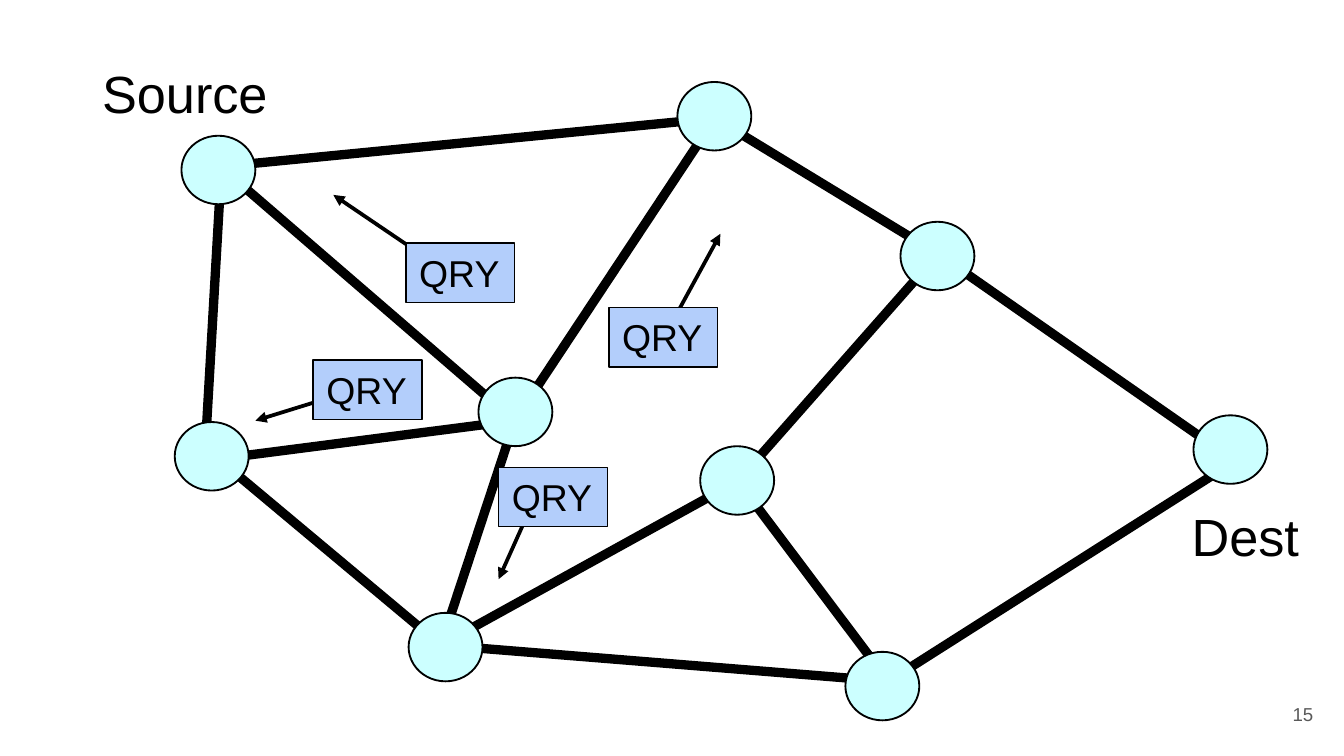
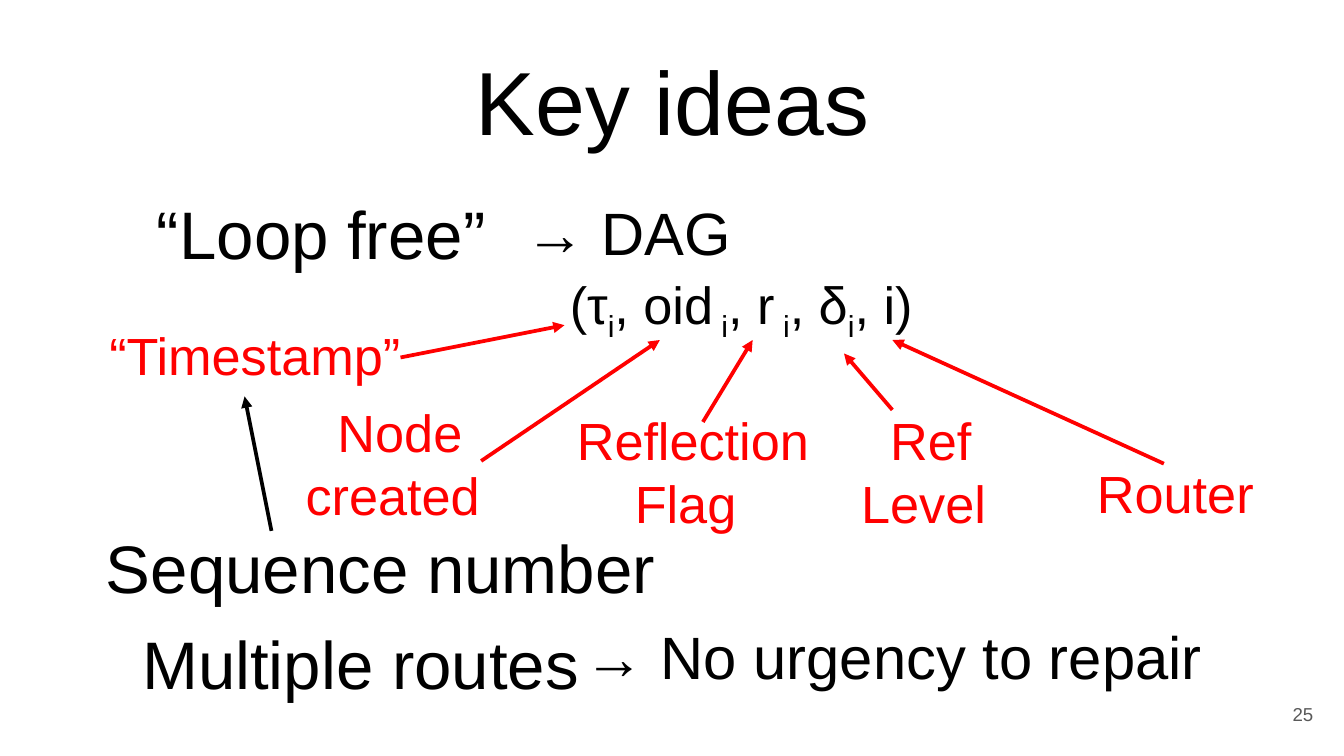
import pptx
import pptx.dml.color
import pptx.enum.shapes
import pptx.enum.text
import pptx.oxml
import pptx.oxml.ns
import pptx.util
from pptx.util import Inches

COLORS = {
    "ink": "000000",
    "accent": "FF0000",
    "node": "CCFFFF",
    "packet": "B3CEFB",
    "number": "595959",
}
ALIGN = pptx.enum.text.PP_ALIGN
ANCHOR = pptx.enum.text.MSO_ANCHOR
SHAPE = pptx.enum.shapes.MSO_SHAPE
TITLE_ONLY, BLANK = 5, 6


def color(name):
    return pptx.dml.color.RGBColor.from_string(COLORS[name])


def set_values(target, values):
    for name, value in values.items():
        setattr(target, name, value)


class Deck:
    """Holds the shared style and the slide being built."""

    font = "Arial"
    node_size = (0.55, 0.51)
    packet_size = (0.81, 0.44)

    def __init__(self):
        self.presentation = pptx.Presentation()
        set_values(self.presentation,
                   {"slide_width": Inches(10), "slide_height": Inches(5.625)})
        self.slide = None

    def new_slide(self, layout, number):
        self.slide = self.presentation.slides.add_slide(
            self.presentation.slide_layouts[layout])
        self.text(number, (9.27, 5.1, 0.6, 0.43), 10, "number", ALIGN.RIGHT,
                  vertical_anchor=ANCHOR.MIDDLE)

    def fill_text(self, shape, paragraphs, size, ink, align, **frame_format):
        """Fill a shape; a paragraph is a string or a list of (text, is_subscript)."""
        frame = shape.text_frame
        set_values(frame, {
            "word_wrap": True,
            "auto_size": pptx.enum.text.MSO_AUTO_SIZE.NONE,
            "vertical_anchor": ANCHOR.TOP,
            "margin_left": Inches(0.1), "margin_right": Inches(0.1),
            "margin_top": Inches(0.05), "margin_bottom": Inches(0.05),
            **frame_format,
        })
        for index, content in enumerate(paragraphs):
            paragraph = frame.add_paragraph() if index else frame.paragraphs[0]
            paragraph.alignment = align
            pieces = [(content, False)] if isinstance(content, str) else content
            for words, is_subscript in pieces:
                for row, part in enumerate(words.split("\n")):
                    if row:
                        paragraph.add_line_break()
                    run = paragraph.add_run()
                    run.text = part
                    set_values(run.font, {"name": self.font, "size": pptx.util.Pt(size)})
                    run.font.color.rgb = color(ink)
                    if is_subscript:
                        run.font._element.set("baseline", "-25000")

    def title(self, words):
        title = self.slide.shapes.title
        set_values(title, {"left": Inches(0.36), "top": Inches(0.24),
                           "width": Inches(9.29), "height": Inches(1.42)})
        self.fill_text(title, [words], 48, "ink", ALIGN.CENTER,
                       margin_top=Inches(0.1), margin_bottom=Inches(0.1))

    def text(self, content, box, size, ink="ink", align=ALIGN.LEFT, **frame_format):
        shape = self.slide.shapes.add_textbox(*map(Inches, box))
        paragraphs = [content] if isinstance(content, str) else content
        self.fill_text(shape, paragraphs, size, ink, align, **frame_format)

    def line(self, start, end, width, ink="ink", arrow=False):
        connector = self.slide.shapes.add_connector(
            pptx.enum.shapes.MSO_CONNECTOR.STRAIGHT, *map(Inches, (*start, *end)))
        connector.line.width = pptx.util.Pt(width)
        connector.line.color.rgb = color(ink)
        namespace = pptx.oxml.ns.nsdecls("a")
        if arrow:
            connector.line._get_or_add_ln().append(
                pptx.oxml.parse_xml(f'<a:tailEnd {namespace} type="triangle"/>'))
        connector._element.spPr.append(
            pptx.oxml.parse_xml(f"<a:effectLst {namespace}/>"))

    def arrow(self, start, end, ink="ink"):
        self.line(start, end, 2, ink, arrow=True)

    def outlined(self, kind, position, size, fill, line_width):
        shape = self.slide.shapes.add_shape(kind, *map(Inches, (*position, *size)))
        shape.shadow.inherit = False
        shape.fill.solid()
        shape.fill.fore_color.rgb = color(fill)
        shape.line.color.rgb = color("ink")
        shape.line.width = pptx.util.Pt(line_width)
        return shape

    def node(self, position):
        self.outlined(SHAPE.OVAL, position, self.node_size, "node", 1)

    def packet(self, position):
        shape = self.outlined(SHAPE.RECTANGLE, position, self.packet_size, "packet", 0.75)
        self.fill_text(shape, ["QRY"], 20, "ink", ALIGN.LEFT, word_wrap=False)


def build_query_slide(deck):
    deck.new_slide(BLANK, "15")

    # Each node: top-left corner, and the point where its links meet
    nodes = {
        "source": ((1.35, 1.01), (1.64, 1.24)),
        "top": ((5.04, 0.61), (5.32, 0.88)),
        "right": ((6.7, 1.65), (6.98, 1.89)),
        "dest": ((8.88, 3.09), (9.19, 3.43)),
        "middle": ((3.56, 2.81), (3.83, 3.13)),
        "left": ((1.3, 3.14), (1.63, 3.42)),
        "bottom": ((3.04, 4.56), (3.28, 4.8)),
        "inner": ((5.21, 3.32), (5.49, 3.58)),
        "low": ((6.29, 4.85), (6.61, 5.07)),
    }
    # A link end is a node name, or a point where it meets the node off centre
    links = [
        ("dest", "right"), ("dest", "low"), ("top", "right"), ("middle", "top"),
        ((1.52, 3.47), (1.64, 1.38)), ("low", "bottom"), ("bottom", "left"),
        ("inner", "bottom"), ("right", "inner"), ("low", "inner"),
        ("top", "source"), ("middle", "bottom"), ("source", "middle"),
        ((1.74, 3.4), "middle"),
    ]
    # Each query packet: corner, arrow start, arrow end
    packets = [
        ((3.02, 1.81), (3.35, 2.04), (2.48, 1.45)),
        ((2.33, 2.68), (2.74, 2.87), (1.9, 3.13)),
        ((3.71, 3.48), (3.97, 3.73), (3.71, 4.31)),
        ((4.53, 2.29), (4.94, 2.51), (5.36, 1.74)),
    ]

    # Arrows and links lie behind the nodes and packets
    for _, start, end in packets:
        deck.arrow(start, end)
    for ends in links:
        start, end = (nodes[place][1] if place in nodes else place for place in ends)
        deck.line(start, end, 5)
    for corner, _ in nodes.values():
        deck.node(corner)

    # End point names
    for name, left, top in (("Source", 0.45, 0.41), ("Dest", 8.34, 3.7)):
        deck.text(name, (left, top, 1.85, 0.57), 28, align=ALIGN.CENTER)
    for corner, _, _ in packets:
        deck.packet(corner)


def build_ideas_slide(deck):
    deck.new_slide(TITLE_ONLY, "25")
    deck.title("Key ideas")

    # Ideas and what follows from them
    for words, box, size in (
        ("“Loop free”", (1.07, 1.38, 8.5, 0.71), 36),
        ("Sequence number", (0.69, 3.87, 4.46, 0.71), 36),
        ("Multiple routes", (0.96, 4.58, 4.46, 0.71), 36),
        ("→ DAG", (3.81, 1.41, 2.24, 0.64), 32),
        ("→ No urgency to repair", (4.25, 4.56, 5.01, 0.64), 32),
    ):
        deck.text(words, box, size)

    # Height tuple, with subscripts
    height = [("(τ", False), ("i", True), (", oid", False), (" i", True),
              (", r", False), (" i", True), (", δ", False), ("i", True),
              (", i)", False)]
    deck.text([height], (3.75, 1.98, 3.53, 0.57), 28, align=ALIGN.CENTER)

    # Meaning of each member, with an arrow to it
    for words, box, start, end in (
        ("Router", (7.78, 3.38, 1.93, 0.57), (8.66, 3.45), (6.64, 2.53)),
        ("Ref\nLevel ", (5.73, 2.99, 2.39, 1.04), (6.64, 3.05), (6.28, 2.63)),
        ("Reflection\nFlag ", (3.96, 2.99, 2.39, 1.04), (5.23, 3.14), (5.6, 2.53)),
        (["Node", "created "], (1.78, 2.93, 2.39, 1.04), (3.58, 3.43), (4.91, 2.53)),
        ("“Timestamp”", (0.39, 2.36, 3.01, 0.57), (2.98, 2.66), (4.2, 2.42)),
    ):
        deck.text(words, box, 28, "accent", ALIGN.CENTER)
        deck.arrow(start, end, "accent")
    deck.arrow((2.02, 3.95), (1.82, 2.95))


def main():
    deck = Deck()
    build_query_slide(deck)
    build_ideas_slide(deck)
    deck.presentation.save("out.pptx")


if __name__ == "__main__":
    main()
